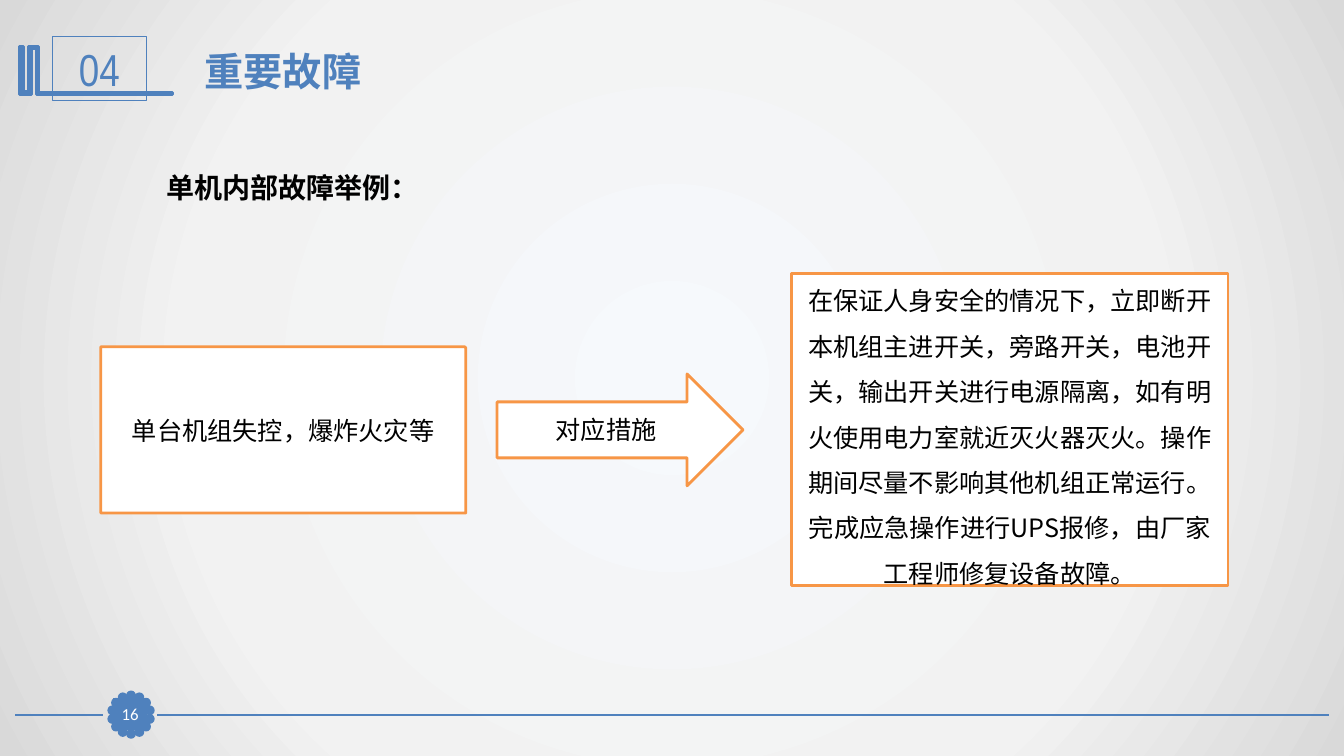
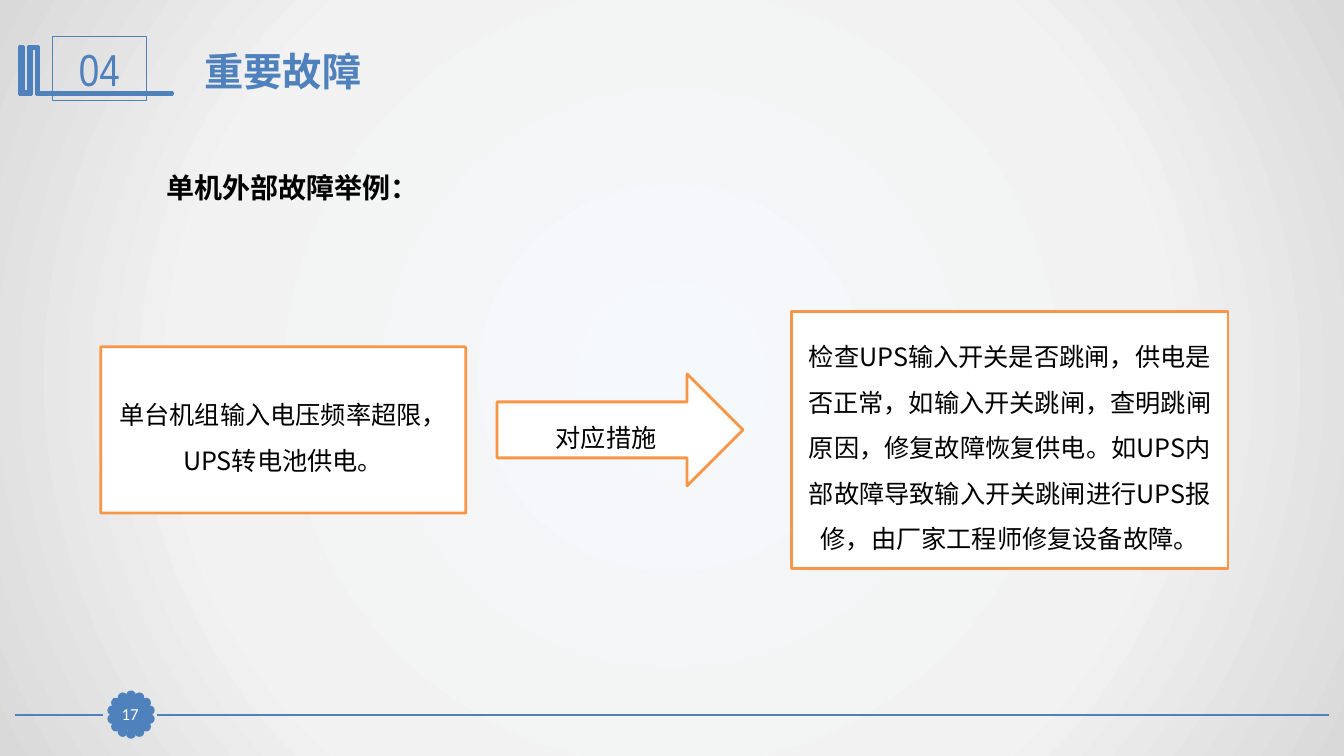
from math import cos, pi, sin

from lxml import etree
from pptx import Presentation
from pptx.dml.color import RGBColor
from pptx.enum.shapes import MSO_CONNECTOR, MSO_SHAPE
from pptx.enum.text import MSO_ANCHOR, MSO_AUTO_SIZE, PP_ALIGN
from pptx.oxml.ns import qn
from pptx.util import Inches, Pt

BLUE = RGBColor(0x4F, 0x81, 0xBD)
ORANGE = RGBColor(0xF7, 0x96, 0x46)
WHITE = RGBColor(0xFF, 0xFF, 0xFF)
BLACK = RGBColor(0x00, 0x00, 0x00)
BACKGROUND_STOPS = [
    (0, RGBColor(0xF6, 0xF9, 0xFC)),
    (63, RGBColor(0xF2, 0xF2, 0xF2)),
    (100, RGBColor(0xD9, 0xD9, 0xD9)),
]

CJK_FONT = "Noto Sans CJK SC"
LATIN_FONT = "Calibri"
NUMBER_FONT = "Arial Narrow"

RECTANGLE = MSO_SHAPE.RECTANGLE
ELLIPSE = MSO_SHAPE.OVAL
CARD = MSO_SHAPE.ROUND_1_RECTANGLE
ARROW = MSO_SHAPE.RIGHT_ARROW
STRAIGHT = MSO_CONNECTOR.STRAIGHT
LEFT, CENTER = PP_ALIGN.LEFT, PP_ALIGN.CENTER
TOP, MIDDLE = MSO_ANCHOR.TOP, MSO_ANCHOR.MIDDLE
GROW = MSO_AUTO_SIZE.SHAPE_TO_FIT_TEXT
FIXED = MSO_AUTO_SIZE.NONE

TITLE_ONLY = 5
FOOTER_Y = 7.09
BADGE_CENTER = (1.3, 7.09)
BADGE_RADIUS = 0.19
BEAD_SIZE = 0.07
BEAD_COUNT = 14
EMBLEM_POINTS = [
    (37, 46), (38, 46), (38, 92), (171, 92), (171, 94), (36, 94),
    (36, 48), (31, 48), (31, 94), (19, 94), (19, 46), (23, 46),
    (23, 91), (28, 91), (28, 46),
]

SLIDES = [
    {
        "number": "16",
        "heading": "单机内部故障举例：",
        "fault": "单台机组失控，爆炸火灾等",
        "label_spacing": 1.0,
        "measure": "在保证人身安全的情况下，立即断开本机组主进开关，旁路开关，"
                   "电池开关，输出开关进行电源隔离，如有明火使用电力室就近灭火器灭火。"
                   "操作期间尽量不影响其他机组正常运行。"
                   "完成应急操作进行UPS报修，由厂家工程师修复设备故障。",
        "measure_box": (7.85, 2.71, 4.33, 3.1),
    },
    {
        "number": "17",
        "heading": "单机外部故障举例：",
        "fault": "单台机组输入电压频率超限，UPS转电池供电。",
        "label_spacing": 1.5,
        "measure": "检查UPS输入开关是否跳闸，供电是否正常，如输入开关跳闸，"
                   "查明跳闸原因，修复故障恢复供电。"
                   "如UPS内部故障导致输入开关跳闸进行UPS报修，"
                   "由厂家工程师修复设备故障。",
        "measure_box": (7.85, 3.09, 4.33, 2.55),
    },
]


def write_text(shape, text, size=18, font=CJK_FONT, color=BLACK, bold=False,
               align=CENTER, anchor=MIDDLE, spacing=1.0, auto_size=FIXED, inset=None):
    frame = shape.text_frame
    frame.word_wrap = True
    frame.auto_size = auto_size
    frame.vertical_anchor = anchor
    if inset is not None:
        frame.margin_left = frame.margin_right = Inches(inset)
        frame.margin_top = frame.margin_bottom = Inches(inset)
    paragraph = frame.paragraphs[0]
    paragraph.alignment = align
    paragraph.line_spacing = spacing
    run = paragraph.add_run()
    run.text = text
    run.font.name = font
    run.font.size = Pt(size)
    run.font.bold = bold
    run.font.color.rgb = color
    latin = run.font._element.find(qn("a:latin"))
    east_asian = etree.Element(qn("a:ea"), typeface=CJK_FONT)
    latin.addnext(east_asian)


def style_shape(shape, fill, line, line_width):
    shape.shadow.inherit = False
    if fill is None:
        shape.fill.background()
    else:
        shape.fill.solid()
        shape.fill.fore_color.rgb = fill
    shape.line.color.rgb = line
    shape.line.width = Pt(line_width)


def add_box(shapes, kind, box, fill=WHITE, line=ORANGE, line_width=2):
    shape = shapes.add_shape(kind, *map(Inches, box))
    style_shape(shape, fill, line, line_width)
    return shape


def add_card(slide, box, text, spacing, corner=0):
    card = add_box(slide.shapes, CARD, box)
    card.adjustments[0] = corner
    write_text(card, text, spacing=spacing)


def add_footer_line(slide, start, end):
    line = slide.shapes.add_connector(
        STRAIGHT, Inches(start), Inches(FOOTER_Y), Inches(end), Inches(FOOTER_Y))
    line.line.color.rgb = BLUE
    line.line.width = Pt(1.25)
    properties = line._element.find(qn("p:spPr"))
    etree.SubElement(properties, qn("a:effectLst"))


def add_badge(slide, number):
    beads = slide.shapes.add_group_shape().shapes
    center_x, center_y = BADGE_CENTER
    for index in range(BEAD_COUNT):
        angle = 2 * pi * index / BEAD_COUNT
        left = center_x + BADGE_RADIUS * sin(angle) - BEAD_SIZE / 2
        top = center_y - BADGE_RADIUS * cos(angle) - BEAD_SIZE / 2
        add_box(beads, ELLIPSE, (left, top, BEAD_SIZE, BEAD_SIZE), BLUE, BLUE)
    plate = add_box(slide.shapes, RECTANGLE, (1.13, 6.93, 0.32, 0.31), BLUE, BLUE, 0.75)
    write_text(plate, number, size=12, font=LATIN_FONT, color=WHITE, inset=0)


def add_emblem(slide):
    builder = slide.shapes.build_freeform(*EMBLEM_POINTS[0], scale=Inches(0.01))
    builder.add_line_segments(EMBLEM_POINTS[1:], close=True)
    style_shape(builder.convert_to_shape(), BLUE, BLUE, 2)
    frame = add_box(slide.shapes, RECTANGLE, (0.52, 0.36, 0.93, 0.64), None, BLUE, 0.75)
    write_text(frame, "04", size=32, font=NUMBER_FONT, color=BLUE, auto_size=GROW)


def set_title(slide, text):
    title = slide.shapes.title
    title.left, title.top = Inches(1.93), Inches(0.42)
    title.width, title.height = Inches(3.17), Inches(0.57)
    write_text(title, text, size=28, font=LATIN_FONT, color=BLUE, bold=True,
               align=LEFT, anchor=TOP, auto_size=GROW)


def set_background(master):
    master.background.fill.gradient()
    gradient = master.element.find(".//" + qn("p:bg")).find(".//" + qn("a:gradFill"))
    for child in list(gradient):
        gradient.remove(child)
    stops = etree.SubElement(gradient, qn("a:gsLst"))
    for position, color in BACKGROUND_STOPS:
        stop = etree.SubElement(stops, qn("a:gs"), pos=str(position * 1000))
        etree.SubElement(stop, qn("a:srgbClr"), val=str(color))
    circle = etree.SubElement(gradient, qn("a:path"), path="circle")
    etree.SubElement(circle, qn("a:fillToRect"),
                     l="50000", t="50000", r="50000", b="50000")


def add_fault_slide(presentation, content):
    slide = presentation.slides.add_slide(presentation.slide_layouts[TITLE_ONLY])
    add_footer_line(slide, 13.18, 1.56)
    add_footer_line(slide, 1.02, 0.15)
    add_badge(slide, content["number"])
    add_emblem(slide)
    set_title(slide, "重要故障")

    heading = slide.shapes.add_textbox(*map(Inches, (1.55, 1.31, 5.59, 0.77)))
    write_text(heading, content["heading"], size=20, font=LATIN_FONT, bold=True,
               align=LEFT, anchor=TOP, spacing=2.0, auto_size=GROW)

    spacing = content["label_spacing"]
    add_card(slide, (1, 3.44, 3.62, 1.65), content["fault"], spacing, corner=0.01)
    arrow = add_box(slide.shapes, ARROW, (4.93, 3.71, 2.44, 1.11))
    write_text(arrow, "对应措施", spacing=spacing)
    add_card(slide, content["measure_box"], content["measure"], 1.5)


def main():
    presentation = Presentation()
    presentation.slide_width = Inches(13.33)
    presentation.slide_height = Inches(7.5)
    set_background(presentation.slide_master)
    for content in SLIDES:
        add_fault_slide(presentation, content)
    presentation.save("out.pptx")


if __name__ == "__main__":
    main()
